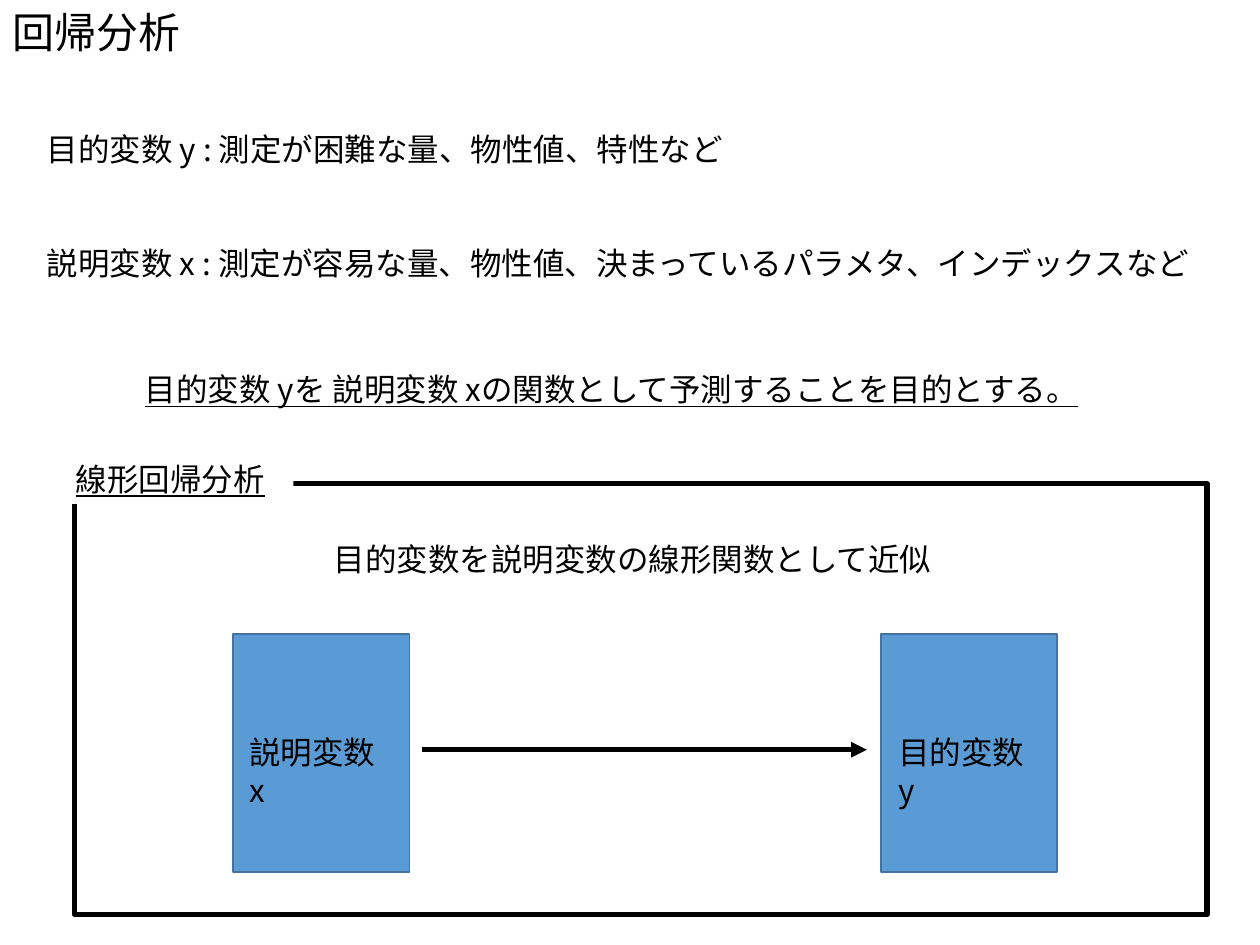
"""Build the regression analysis slide."""
import pptx
import pptx.dml.color
import pptx.enum.dml
import pptx.enum.shapes
import pptx.enum.text
import pptx.oxml.ns
import pptx.util
from lxml import etree
from pptx.util import Inches

FONT = "Noto Sans CJK JP"
BLACK = pptx.dml.color.RGBColor(0x00, 0x00, 0x00)
WHITE = pptx.dml.color.RGBColor(0xFF, 0xFF, 0xFF)
BLUE = pptx.dml.color.RGBColor(0x5B, 0x9B, 0xD5)
DARK_BLUE = pptx.dml.color.RGBColor(0x43, 0x73, 0x9E)
RECTANGLE = pptx.enum.shapes.MSO_SHAPE.RECTANGLE
qn = pptx.oxml.ns.qn


def write(sp, text, size=18, underline=None, wrap=True):
    tf = sp.text_frame
    tf.text = text
    tf.word_wrap = wrap
    tf.auto_size = pptx.enum.text.MSO_AUTO_SIZE.NONE
    tf.vertical_anchor = pptx.enum.text.MSO_ANCHOR.TOP
    for p in tf.paragraphs:
        p.alignment = pptx.enum.text.PP_ALIGN.LEFT
        p.space_before = pptx.util.Pt(0)
        for r in p.runs:
            r.font.name = FONT
            r.font.size = pptx.util.Pt(size)
            r.font.color.rgb = BLACK
            r.font.underline = underline
            ea = etree.SubElement(r.font._element, qn("a:ea"))
            ea.set("typeface", FONT)
    return tf


def add_box(left, top, width, height, fill=None, line=None, weight=1):
    sp = s.shapes.add_shape(RECTANGLE, Inches(left), Inches(top), Inches(width), Inches(height))
    sp.shadow.inherit = False
    if fill is None:
        sp.fill.background()
    else:
        sp.fill.solid()
        sp.fill.fore_color.rgb = fill
    if line is None:
        sp.line.fill.background()
    else:
        sp.line.color.rgb = line
        sp.line.width = pptx.util.Pt(weight)
    return sp


prs = pptx.Presentation()
prs.slide_width, prs.slide_height = Inches(10), Inches(7.5)
s = prs.slides.add_slide(prs.slide_layouts[1])

title = s.shapes.title
title.left, title.top, title.width, title.height = Inches(0), Inches(0), Inches(1.55), Inches(0.5)
write(title, "回帰分析", size=24, wrap=False)

body = s.placeholders[1]
body.left, body.top, body.width, body.height = Inches(0.27), Inches(0.98), Inches(9.51), Inches(1.31)
tf = write(body, "目的変数 y : 測定が困難な量、物性値、特性など\n"
           "説明変数 x : 測定が容易な量、物性値、決まっているパラメタ、インデックスなど")
for p in tf.paragraphs:
    pPr = p._p.get_or_add_pPr()
    pPr.set("marL", "0")
    pPr.set("indent", "0")
    etree.SubElement(pPr, qn("a:buNone"))
tf.paragraphs[1].space_before = pptx.util.Pt(43.5)

goal = s.shapes.add_textbox(Inches(1.05), Inches(2.89), Inches(8.9), Inches(0.4))
write(goal, "目的変数 yを 説明変数 xの関数として予測することを目的とする。", underline=True)

add_box(0.59, 3.84, 8.99, 3.42, line=BLACK, weight=3)
label = add_box(0, 3.29, 2.33, 0.71, fill=WHITE)
tf = write(label, "線形回帰分析", underline=True)
tf.margin_left = Inches(0.6)
tf.margin_right = Inches(0)
tf.vertical_anchor = pptx.enum.text.MSO_ANCHOR.BOTTOM

summary = s.shapes.add_textbox(Inches(2.55), Inches(4.24), Inches(6.5), Inches(0.4))
write(summary, "目的変数を説明変数の線形関数として近似")

for left, text_left, text in ((1.85, 1.88, "説明変数\vx"), (6.99, 7.03, "目的変数\vy")):
    add_box(left, 5.03, 1.4, 1.89, fill=BLUE, line=DARK_BLUE)
    sp = s.shapes.add_textbox(Inches(text_left), Inches(5.77), Inches(1.37), Inches(0.7))
    write(sp, text, wrap=False)

arrow = s.shapes.add_connector(pptx.enum.shapes.MSO_CONNECTOR.STRAIGHT,
                               Inches(3.35), Inches(5.95), Inches(6.88), Inches(5.95))
arrow.line.color.rgb = BLACK
arrow.line.width = pptx.util.Pt(3)
etree.SubElement(arrow.line._get_or_add_ln(), qn("a:tailEnd")).set("type", "triangle")
etree.SubElement(arrow._element.spPr, qn("a:effectLst"))

prs.save("out.pptx")
